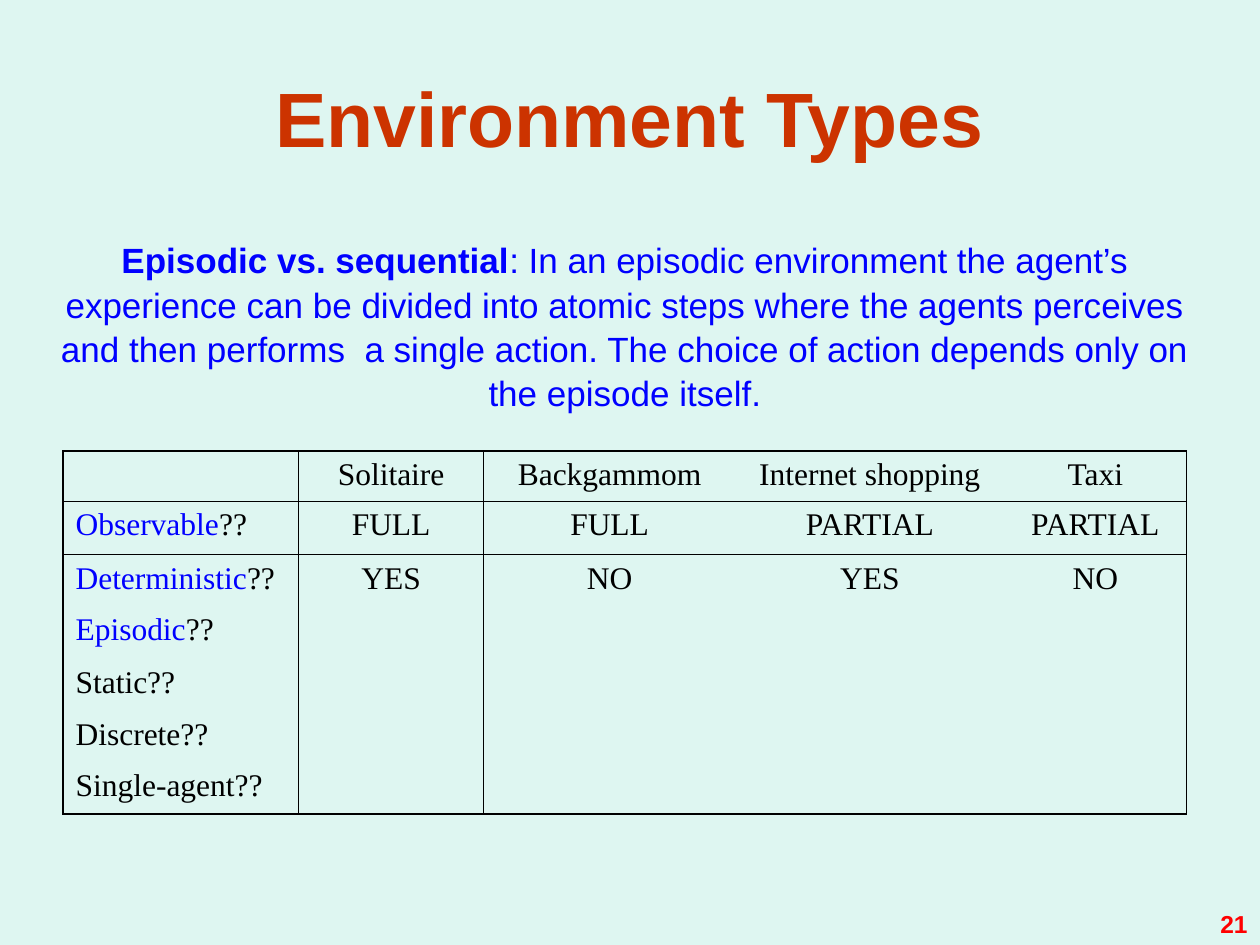
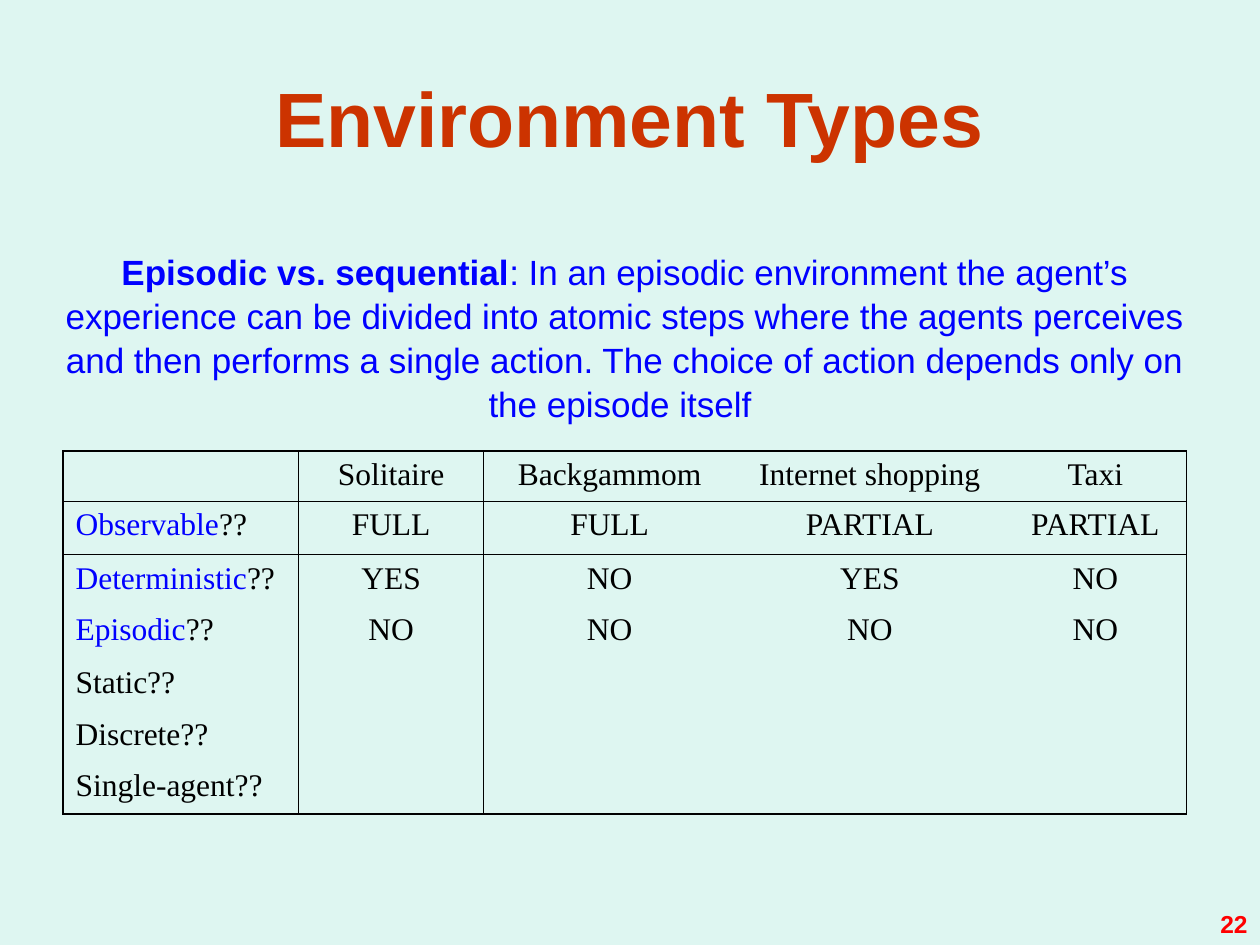
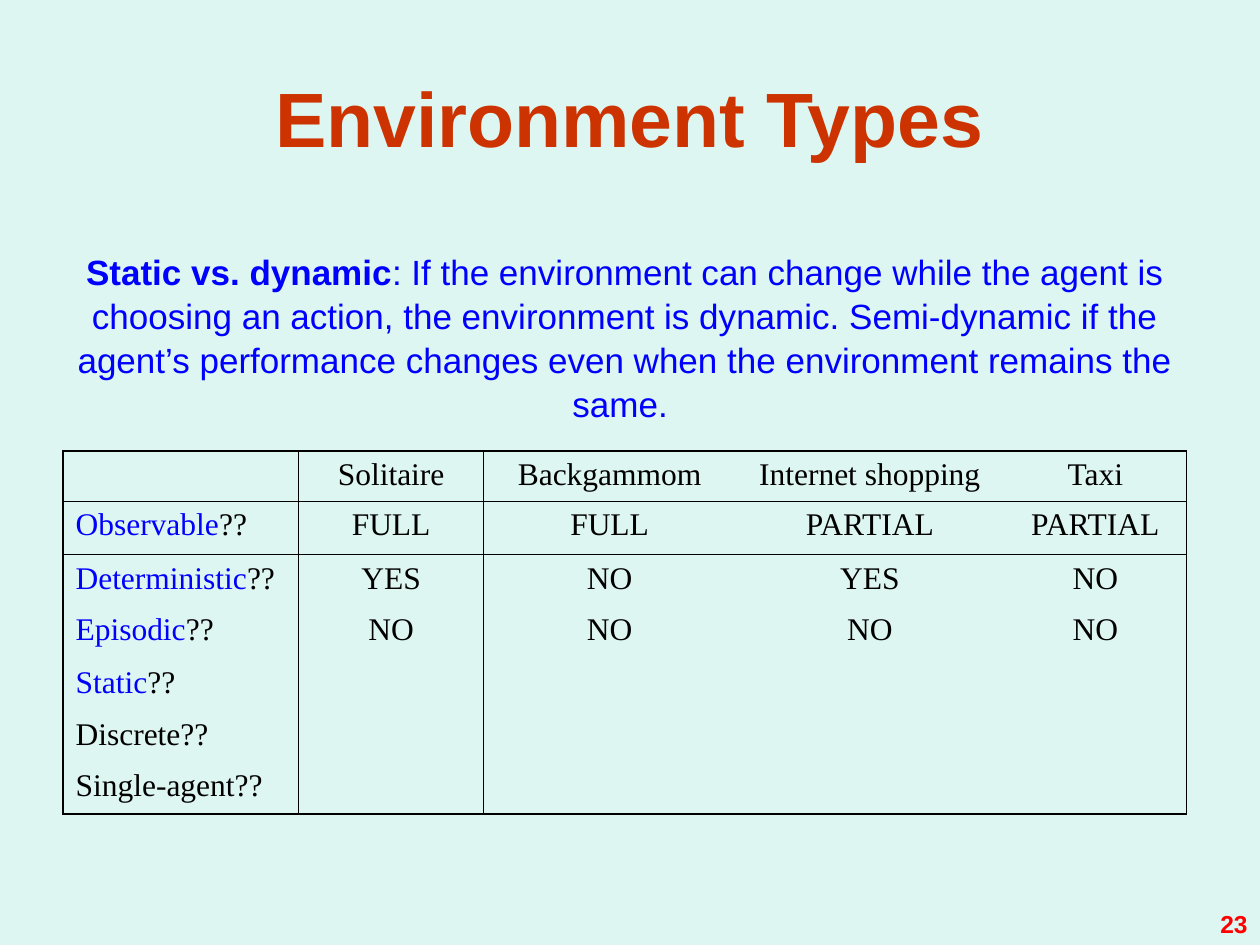
import pptx
import pptx.dml.color
import pptx.enum.text
import pptx.util
from lxml import etree
from pptx.oxml.ns import qn

Cm = pptx.util.Cm
Pt = pptx.util.Pt
RGBColor = pptx.dml.color.RGBColor
Align = pptx.enum.text.PP_ALIGN
Anchor = pptx.enum.text.MSO_ANCHOR
AutoSize = pptx.enum.text.MSO_AUTO_SIZE

MINT = RGBColor(0xDE, 0xF6, 0xF1)
RUST = RGBColor(0xCC, 0x33, 0x00)
BLUE = RGBColor(0x00, 0x00, 0xFF)
RED = RGBColor(0xFF, 0x00, 0x00)
BLACK = RGBColor(0x00, 0x00, 0x00)

TITLE = {"name": "Arial", "size": Pt(44), "bold": True, "color": RUST}
TERM = {"name": "Arial", "size": Pt(20), "bold": True, "color": BLUE}
DEFINITION = TERM | {"bold": False}
NUMBER = {"name": "Arial", "size": Pt(14), "bold": True, "color": RED}
ENTRY = {"name": "Times New Roman", "size": Pt(18), "color": BLACK}
COVERED = ENTRY | {"color": BLUE}

COLUMN_WIDTHS = (4.75, 3.73, 5.08, 5.41, 3.68)
ROW_HEIGHTS = (1.02, 1.07, 1.04, 1.07, 1.04, 1.04, 1.04)
# Grid lines are counted from the table's left and top edges.
RULED_COLUMNS = (0, 1, 2, len(COLUMN_WIDTHS))
RULED_ROWS = (0, 1, 2, len(ROW_HEIGHTS))

ENVIRONMENTS = ("Solitaire", "Backgammom", "Internet shopping", "Taxi")
PROPERTIES = ("Observable", "Deterministic", "Episodic", "Static", "Discrete", "Single-agent")
ANSWERS = (
    ("FULL", "FULL", "PARTIAL", "PARTIAL"),
    ("YES", "NO", "YES", "NO"),
    ("NO", "NO", "NO", "NO"),
)

EPISODIC = "Episodic vs. sequential"
EPISODIC_START = (": In an episodic environment the agent’s experience can be divided into "
                  "atomic steps where the agents perceives and then performs")
EPISODIC_END = "a single action. The choice of action depends only on the episode itself"
STATIC = "Static vs. dynamic"
STATIC_TEXT = (": If the environment can change while the agent is choosing an action, "
               "the environment is dynamic. Semi-dynamic if the agent’s performance changes "
               "even when the environment remains the same. ")

# Each page: number, term, definition, text area, properties covered, rows answered.
PAGES = (
    (21, EPISODIC, f"{EPISODIC_START}  {EPISODIC_END}.", (1.07, 4.65, 23.06, 3.68), 3, 2),
    (22, EPISODIC, f"{EPISODIC_START} {EPISODIC_END} ", (1.27, 4.88, 22.66, 3.68), 3, 3),
    (23, STATIC, STATIC_TEXT, (1.07, 4.88, 23.06, 3.68), 4, 3),
)


def write(para, spans, align):
    para.alignment = align
    for text, style in spans:
        span = para.add_run()
        span.text = text
        for name, value in style.items():
            if name == "color":
                span.font.color.rgb = value
            else:
                setattr(span.font, name, value)


def add_text(page, area, spans, align=Align.CENTER, line_spacing=None, **frame_format):
    """Add a one-paragraph text box; frame_format holds text frame attributes."""
    box = page.shapes.add_textbox(*map(Cm, area))
    frame = box.text_frame
    for name, value in ({"word_wrap": True} | frame_format).items():
        setattr(frame, name, value)
    para = frame.paragraphs[0]
    para.line_spacing = line_spacing
    write(para, spans, align)


def rule_cell(cell, row, column):
    """Draw the cell's edges that lie on a ruled grid line and clear the others."""
    edges = {
        "a:lnL": column in RULED_COLUMNS,
        "a:lnR": column + 1 in RULED_COLUMNS,
        "a:lnT": row in RULED_ROWS,
        "a:lnB": row + 1 in RULED_ROWS,
    }
    properties = cell._tc.get_or_add_tcPr()
    for position, (tag, ruled) in enumerate(edges.items()):
        line = etree.Element(qn(tag), w=str(Pt(1)))
        if ruled:
            fill = etree.SubElement(line, qn("a:solidFill"))
            etree.SubElement(fill, qn("a:srgbClr"), val=str(BLACK))
        else:
            etree.SubElement(line, qn("a:noFill"))
        properties.insert(position, line)


def property_spans(index, covered):
    if index < covered:
        return [(PROPERTIES[index], COVERED), ("??", ENTRY)]
    return [(f"{PROPERTIES[index]}??", ENTRY)]


def add_environment_table(page, covered, answered):
    table = page.shapes.add_table(
        len(ROW_HEIGHTS), len(COLUMN_WIDTHS), Cm(1.27), Cm(9.09),
        Cm(sum(COLUMN_WIDTHS)), Cm(sum(ROW_HEIGHTS))).table
    table.first_row = table.horz_banding = False
    for column, width in zip(table.columns, COLUMN_WIDTHS):
        column.width = Cm(width)
    for row, height in zip(table.rows, ROW_HEIGHTS):
        row.height = Cm(height)

    for row in range(len(ROW_HEIGHTS)):
        for column in range(len(COLUMN_WIDTHS)):
            cell = table.cell(row, column)
            cell.fill.background()
            rule_cell(cell, row, column)

    for index in range(len(PROPERTIES)):
        label = table.cell(index + 1, 0)
        write(label.text_frame.paragraphs[0], property_spans(index, covered), Align.LEFT)
    for row, entries in enumerate((ENVIRONMENTS, *ANSWERS[:answered])):
        for column, entry in enumerate(entries, start=1):
            cell = table.cell(row, column)
            write(cell.text_frame.paragraphs[0], [(entry, ENTRY)], Align.CENTER)


def add_page(deck, number, term, definition, area, covered, answered):
    page = deck.slides.add_slide(deck.slide_layouts[6])
    add_text(page, (1.27, 0.76, 22.86, 3.18), [("Environment Types", TITLE)],
             vertical_anchor=Anchor.MIDDLE)
    add_environment_table(page, covered, answered)
    add_text(page, area, [(term, TERM), (definition, DEFINITION)], line_spacing=1.05,
             margin_left=0, margin_right=0, auto_size=AutoSize.SHAPE_TO_FIT_TEXT)
    add_text(page, (19.48, 17.73, 5.92, 1.32), [(str(number), NUMBER)], Align.RIGHT,
             vertical_anchor=Anchor.BOTTOM)


def main():
    deck = pptx.Presentation()
    deck.slide_width, deck.slide_height = Cm(25.4), Cm(19.05)
    background = deck.slide_master.background.fill
    background.solid()
    background.fore_color.rgb = MINT
    for content in PAGES:
        add_page(deck, *content)
    deck.save("out.pptx")


if __name__ == "__main__":
    main()
